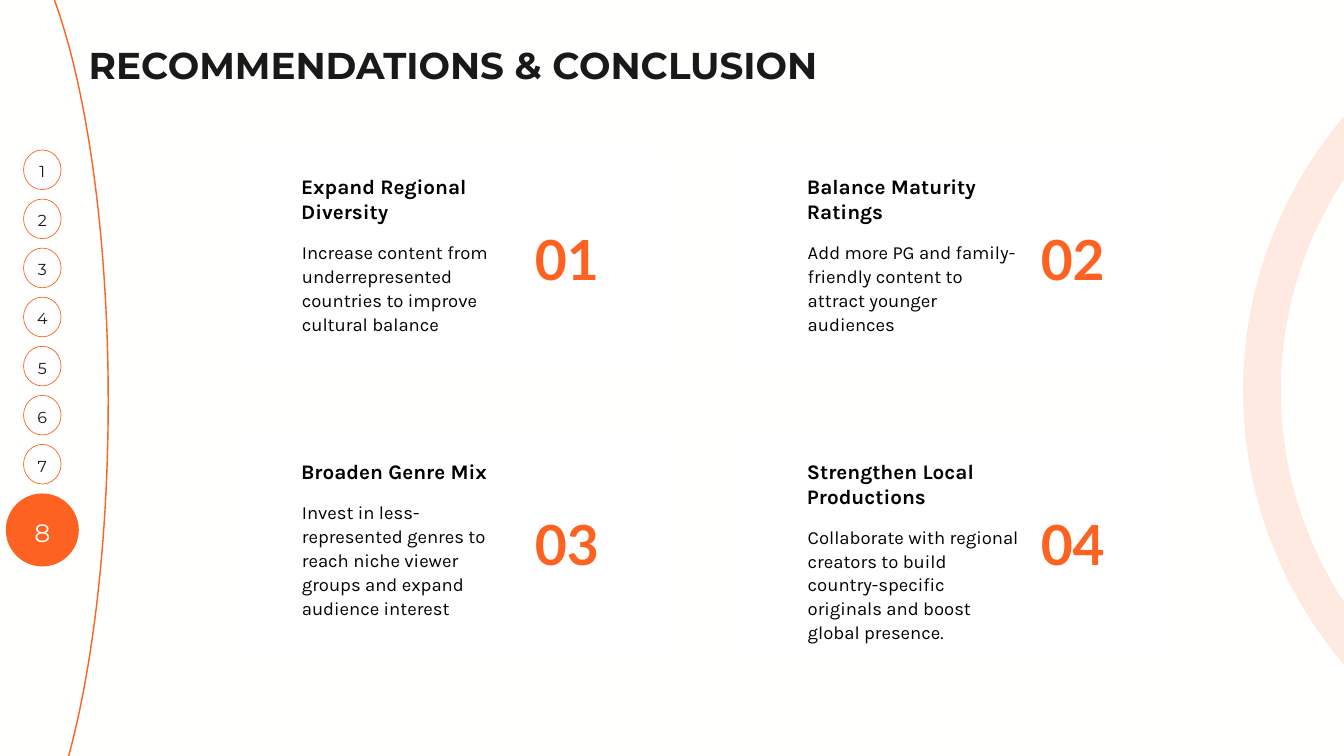
from dataclasses import dataclass

from lxml import etree
from pptx import Presentation
from pptx.dml.color import RGBColor
from pptx.enum.shapes import MSO_SHAPE
from pptx.enum.text import MSO_ANCHOR, MSO_AUTO_SIZE, PP_ALIGN
from pptx.oxml.ns import qn
from pptx.util import Cm, Pt

OVAL = MSO_SHAPE.OVAL
ROUNDED = MSO_SHAPE.ROUNDED_RECTANGLE
TOP, MIDDLE = MSO_ANCHOR.TOP, MSO_ANCHOR.MIDDLE
LEFT, CENTER = PP_ALIGN.LEFT, PP_ALIGN.CENTER
RIGHT, JUSTIFY = PP_ALIGN.RIGHT, PP_ALIGN.JUSTIFY
NO_FIT = MSO_AUTO_SIZE.NONE
TITLE_ONLY = 5


@dataclass(frozen=True)
class Style:
    font: str
    size: float
    spacing: float
    color: str
    bold: bool = False


@dataclass(frozen=True)
class Theme:
    paper: str = "FFFFFE"
    accent: str = "FD6220"
    disc: str = "FFFEFE"
    card: str = "FFFFFF"
    title: Style = Style("Montserrat", 40, 56, "191919", True)
    page: Style = Style("Montserrat", 17, 23.8, "191919")
    current: Style = Style("Montserrat", 27, 37.8, "FFFEFE")
    number: Style = Style("Lato", 59.2, 77, "FD6220", True)
    heading: Style = Style("Karla", 22.2, 26.7, "000000", True)
    body: Style = Style("Karla", 19.8, 25.7, "000000")


THEME = Theme()

CARDS = [
    ("Expand Regional Diversity", 2, 8.62,
     "Increase content from underrepresented countries to improve cultural balance"),
    ("Balance Maturity Ratings", 2, 8.06,
     "Add more PG and family-friendly content to attract younger audiences"),
    ("Broaden Genre Mix", 1, 7.66,
     "Invest in less-represented genres to reach niche viewer groups "
     "and expand audience interest"),
    ("Strengthen Local Productions", 2, 8.06,
     "Collaborate with regional creators to build country-specific originals "
     "and boost global presence."),
]


def rgb(value):
    return RGBColor.from_string(value)


def write(sp, text, style, align=LEFT, anchor=TOP, wrap=True):
    tf = sp.text_frame
    tf.word_wrap = wrap
    tf.auto_size = NO_FIT
    tf.vertical_anchor = anchor
    tf.margin_left = tf.margin_right = tf.margin_top = tf.margin_bottom = 0
    p = tf.paragraphs[0]
    p.alignment = align
    p.line_spacing = Pt(style.spacing)
    r = p.add_run()
    r.text = text
    r.font.name = style.font
    r.font.size = Pt(style.size)
    r.font.bold = style.bold
    r.font.color.rgb = rgb(style.color)


def add_text(slide, x, y, w, h, text, style, align=LEFT):
    sp = slide.shapes.add_textbox(Cm(x), Cm(y), Cm(w), Cm(h))
    write(sp, text, style, align)


def add_figure(slide, kind, x, y, w, h, fill=None, line=None, width=0):
    sp = slide.shapes.add_shape(kind, Cm(x), Cm(y), Cm(w), Cm(h))
    sp.shadow.inherit = False
    if fill:
        sp.fill.solid()
        sp.fill.fore_color.rgb = rgb(fill)
    else:
        sp.fill.background()
    if line:
        sp.line.color.rgb = rgb(line)
        sp.line.width = Pt(width)
    else:
        sp.line.fill.background()
    return sp


def set_line_alpha(sp, percent):
    color = sp.line.fill._xPr.find(qn("a:solidFill"))[0]
    etree.SubElement(color, qn("a:alpha")).set("val", str(percent * 1000))


def add_title(slide, x, y, w, h, text):
    sp = slide.shapes.title
    sp.left, sp.top, sp.width, sp.height = Cm(x), Cm(y), Cm(w), Cm(h)
    write(sp, text, THEME.title, JUSTIFY)


def add_arcs(slide, w, h):
    add_figure(slide, OVAL, -5.64, -3.48, 9.73, h + 8.67,
               line=THEME.accent, width=1.5)
    ring = add_figure(slide, OVAL, w - 3.1, -0.5, 30.53, 30.53,
                      line=THEME.accent, width=40.5)
    set_line_alpha(ring, 12)


def add_page_rail(slide, x, y, w, current):
    disc_w, disc_h, pitch = 1.42, 1.5, 1.855
    for i in range(current - 1):
        sp = add_figure(slide, OVAL, x + (w - disc_w) / 2, y + i * pitch,
                        disc_w, disc_h, THEME.disc, THEME.accent, 0.75)
        write(sp, str(i + 1), THEME.page, CENTER, MIDDLE, False)
    sp = add_figure(slide, OVAL, x, y + (current - 1) * pitch, w, w, THEME.accent)
    write(sp, str(current), THEME.current, CENTER, MIDDLE, False)


def add_card(slide, x, y, w, h, number, heading, lines, text_w, body):
    sp = add_figure(slide, ROUNDED, x, y, w, h, THEME.card)
    sp.adjustments[0] = 0.04
    heading_h = lines * 0.92
    add_text(slide, x + 10.44, y + 2.82, 3.18, 2.69,
             f"{number:02d}", THEME.number, RIGHT)
    add_text(slide, x + 2.36, y + 1.09, text_w, heading_h, heading, THEME.heading)
    add_text(slide, x + 2.39, y + 1.7 + heading_h, text_w, h - 3.5 - heading_h,
             body, THEME.body)


def add_card_grid(slide, x, y, w, h):
    card_w, card_h = 16, 8.53
    for i, card in enumerate(CARDS):
        row, col = divmod(i, 2)
        add_card(slide, x + col * (w - card_w), y + row * (h - card_h),
                 card_w, card_h, i + 1, *card)


def main():
    w, h = 50.8, 28.58
    prs = Presentation()
    prs.slide_width, prs.slide_height = Cm(w), Cm(h)
    slide = prs.slides.add_slide(prs.slide_layouts[TITLE_ONLY])
    slide.background.fill.solid()
    slide.background.fill.fore_color.rgb = rgb(THEME.paper)
    add_arcs(slide, w, h)
    add_page_rail(slide, 0.22, 5.67, 2.76, 8)
    add_card_grid(slide, 9.02, 5.49, 35.12, 19.3)
    add_title(slide, 3.35, 1.32, 43.31, 1.9, "RECOMMENDATIONS & CONCLUSION")
    prs.save("out.pptx")


if __name__ == "__main__":
    main()
